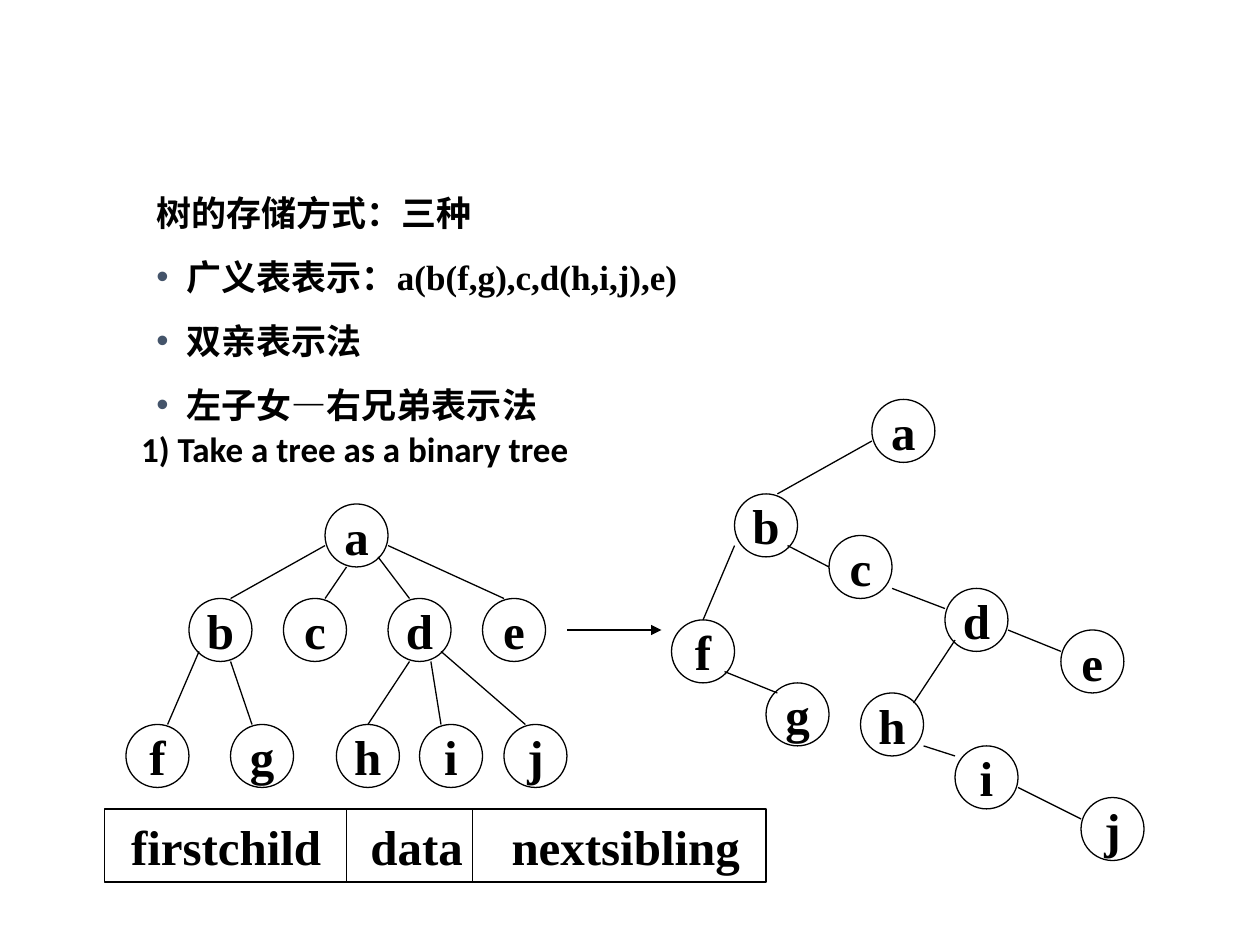
from lxml import etree
from pptx import Presentation
from pptx.dml.color import RGBColor
from pptx.enum.shapes import MSO_CONNECTOR, MSO_SHAPE
from pptx.enum.text import MSO_ANCHOR, MSO_AUTO_SIZE, PP_ALIGN
from pptx.oxml.ns import qn
from pptx.util import Inches, Pt

OVAL, RECTANGLE = MSO_SHAPE.OVAL, MSO_SHAPE.RECTANGLE
STRAIGHT = MSO_CONNECTOR.STRAIGHT
MIDDLE, NO_AUTOFIT = MSO_ANCHOR.MIDDLE, MSO_AUTO_SIZE.NONE
LEFT, CENTER = PP_ALIGN.LEFT, PP_ALIGN.CENTER
BLACK = RGBColor.from_string("000000")
NODE_SIZE = 0.5


def add_outlined(shapes, kind, left, top, width, height, text, align):
    """Add an unfilled black outline with large bold text."""
    shape = shapes.add_shape(kind, Inches(left), Inches(top), Inches(width), Inches(height))
    shape.shadow.inherit = False
    shape.fill.background()
    shape.line.color.rgb = BLACK
    shape.line.width = Pt(0.75)
    frame = shape.text_frame
    frame.word_wrap = False
    frame.vertical_anchor = MIDDLE
    para = frame.paragraphs[0]
    para.text = text
    para.alignment = align
    font = para.runs[0].font
    font.name, font.size, font.bold = "Times New Roman", Pt(28), True
    font.color.rgb = BLACK
    return shape


def add_line(shapes, x1, y1, x2, y2):
    line = shapes.add_connector(STRAIGHT, Inches(x1), Inches(y1), Inches(x2), Inches(y2))
    line.line.color.rgb = BLACK
    line.line.width = Pt(0.75)
    etree.SubElement(line._element.spPr, qn("a:effectLst"))
    return line


deck = Presentation()
deck.slide_width, deck.slide_height = Inches(10), Inches(7.5)
slide = deck.slides.add_slide(deck.slide_layouts[3])
title = slide.shapes.title
title._element.getparent().remove(title._element)

# Text: step heading and list of storage methods
step_box, methods_box = slide.placeholders[1], slide.placeholders[2]
texts = [
    (step_box, (0.75, 3.25, 8.5, 3.42), "Calibri", 0, ["1) Take a tree as a binary tree"]),
    (methods_box, (1.14, 1.47, 7, 1.96), "Times New Roman", 12.5,
     ["树的存储方式：三种", "广义表表示：a(b(f,g),c,d(h,i,j),e)", "双亲表示法", "左子女—右兄弟表示法"]),
]
for box, place, font_name, gap, lines in texts:
    box.left, box.top, box.width, box.height = [Inches(value) for value in place]
    frame = box.text_frame
    frame.auto_size = NO_AUTOFIT
    frame.word_wrap = True
    frame.text = "\n".join(lines)
    for number, para in enumerate(frame.paragraphs):
        para.space_before = Pt(gap if number else 0)
        properties = para._p.get_or_add_pPr()
        if number:
            properties.set("marL", str(Inches(0.24)))
            properties.set("indent", str(-Inches(0.24)))
            color = etree.SubElement(properties, qn("a:buClr"))
            etree.SubElement(color, qn("a:srgbClr"), val="44546A")
            etree.SubElement(properties, qn("a:buFont"), typeface="Arial")
            etree.SubElement(properties, qn("a:buChar"), char="•")
        else:
            properties.set("marL", str(Inches(0.27) if box is step_box else 0))
            properties.set("indent", "0")
            etree.SubElement(properties, qn("a:buNone"))
        font = para.runs[0].font
        font.name, font.size, font.bold = font_name, Pt(20), True
        font.color.rgb = BLACK
step_box.text_frame.margin_top = Inches(0.14)

# Trees: node corners by letter, then edge end points
general_tree = (
    {"a": (2.58, 4), "b": (1.5, 4.75), "c": (2.25, 4.75), "d": (3.08, 4.75), "e": (3.83, 4.75),
     "f": (1, 5.75), "g": (1.83, 5.75), "h": (2.67, 5.75), "i": (3.33, 5.75), "j": (4, 5.75)},
    [(2.58, 4.33, 1.83, 4.75), (2.75, 4.5, 2.58, 4.75), (3, 4.42, 3.25, 4.75),
     (3.08, 4.33, 4, 4.75), (1.58, 5.17, 1.33, 5.75), (1.83, 5.25, 2, 5.75),
     (3.25, 5.25, 2.92, 5.75), (3.42, 5.25, 3.5, 5.75), (3.5, 5.17, 4.17, 5.75)],
)
binary_tree = (
    {"a": (6.92, 3.17), "b": (5.83, 3.92), "c": (6.58, 4.25), "d": (7.5, 4.67), "e": (8.42, 5),
     "f": (5.33, 4.92), "g": (6.08, 5.42), "h": (6.83, 5.5), "i": (7.58, 5.92), "j": (8.58, 6.33)},
    [(6.92, 3.5, 6.17, 3.92), (5.83, 4.33, 5.58, 4.92), (7.58, 5.08, 7.25, 5.58),
     (7.08, 4.67, 7.5, 4.83), (8.08, 6.25, 8.58, 6.5), (8, 5, 8.42, 5.17),
     (6.25, 4.33, 6.58, 4.5), (5.75, 5.33, 6.17, 5.5), (7.33, 5.92, 7.58, 6)],
)
for nodes, edges in (general_tree, binary_tree):
    tree = slide.shapes.add_group_shape()
    for letter, (left, top) in nodes.items():
        add_outlined(tree.shapes, OVAL, left, top, NODE_SIZE, NODE_SIZE, letter, CENTER)
    for edge in edges:
        add_line(tree.shapes, *edge)

# Node record with its three fields
record = slide.shapes.add_group_shape()
record_box = add_outlined(record.shapes, RECTANGLE, 0.83, 6.42, 5.25, 0.58,
                          "firstchild\tdata\tnextsibling", LEFT)
record_box.text_frame.word_wrap = True
record_box.text_frame.margin_left = Inches(0.21)
tab_list = etree.Element(qn("a:tabLst"))
for position in (1.9, 3.02):
    etree.SubElement(tab_list, qn("a:tab"), pos=str(Inches(position)), algn="l")
record_box.text_frame.paragraphs[0]._p.get_or_add_pPr().append(tab_list)
for x in (2.75, 3.75):
    add_line(record.shapes, x, 6.42, x, 7)

arrow = add_line(slide.shapes, 4.5, 5, 5.25, 5)
etree.SubElement(arrow.line._get_or_add_ln(), qn("a:tailEnd"), type="triangle")

deck.save("out.pptx")
